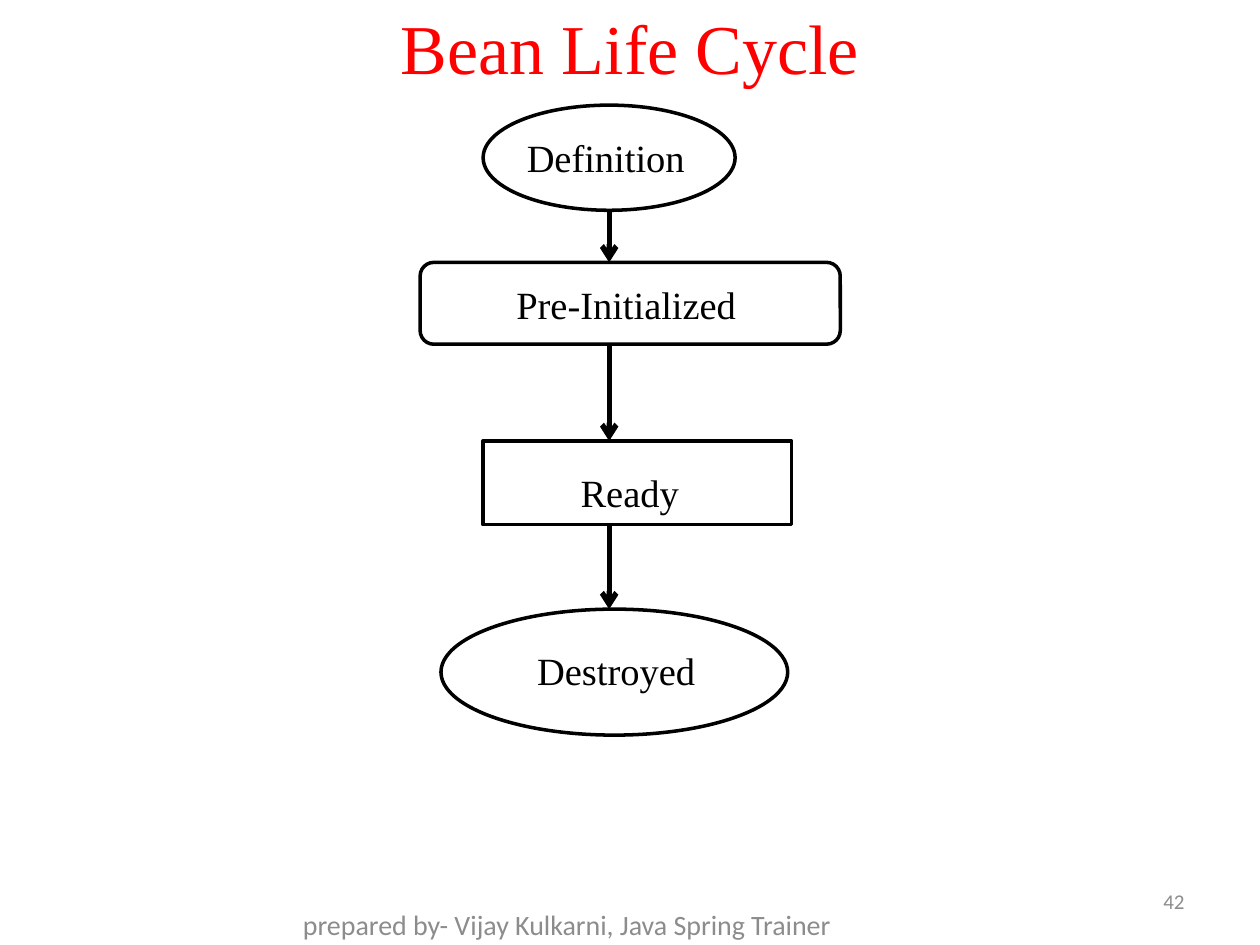
from itertools import pairwise
from lxml.etree import SubElement
from pptx import Presentation
from pptx.dml.color import RGBColor
from pptx.enum.shapes import MSO_CONNECTOR, MSO_SHAPE
from pptx.enum.text import MSO_ANCHOR, PP_ALIGN
from pptx.oxml.ns import qn
from pptx.util import Cm, Pt

SERIF, SANS = "Times New Roman", "Calibri"
BLACK, RED, GREY = "000000", "FF0000", "8C8C8C"
LEFT, MID, RIGHT = PP_ALIGN.LEFT, PP_ALIGN.CENTER, PP_ALIGN.RIGHT
TOP, HALF = MSO_ANCHOR.TOP, MSO_ANCHOR.MIDDLE
AXIS = 12.28

STEPS = [
    (MSO_SHAPE.OVAL, (9.74, 2.12, 5.08, 2.12)),
    (MSO_SHAPE.ROUNDED_RECTANGLE, (8.47, 5.29, 8.47, 1.65)),
    (MSO_SHAPE.RECTANGLE, (9.74, 8.89, 6.22, 1.69)),
    (MSO_SHAPE.OVAL, (8.89, 12.28, 6.99, 2.54)),
]
LABELS = [
    ("Definition", (10.37, 2.57, 4.23, 1.18), LEFT),
    ("Pre-Initialized", (10.16, 5.54, 5.23, 1.18), LEFT),
    ("Ready", (10.58, 9.32, 4.23, 1.18), MID),
    ("Destroyed", (10.58, 12.91, 4.23, 1.18), LEFT),
]
NOTES = [
    ("Bean Life Cycle", (0, 0.2, 25.4, 1.48), MID, 40, SERIF, RED),
    ("42", (18.2, 17.65, 5.93, 1.02), RIGHT, 12, SANS, GREY),
    ("prepared by- Vijay Kulkarni, Java Spring Trainer",
     (3.81, 18.2, 15.24, 0.85), MID, 16, SANS, GREY),
]


def color(code):
    return RGBColor.from_string(code)


def place(box):
    return [Cm(n) for n in box]


def pen(line, width):
    line.color.rgb = color(BLACK)
    line.width = Pt(width)


def write(slide, text, box, align, size, font, code, anchor):
    frame = slide.shapes.add_textbox(*place(box)).text_frame
    frame.word_wrap = True
    frame.vertical_anchor = anchor
    para = frame.paragraphs[0]
    para.text = text
    para.alignment = align
    para.font.size = Pt(size)
    para.font.name = font
    para.font.color.rgb = color(code)


def draw(slide, kind, box):
    shape = slide.shapes.add_shape(kind, *place(box))
    shape.shadow.inherit = False
    shape.fill.background()
    pen(shape.line, 2)


def arrow(slide, start, end):
    link = slide.shapes.add_connector(
        MSO_CONNECTOR.STRAIGHT, *place((AXIS, start, AXIS, end)))
    pen(link.line, 3)
    SubElement(link.line._get_or_add_ln(), qn("a:tailEnd"), type="arrow")
    SubElement(link._element.spPr, qn("a:effectLst"))


def main():
    deck = Presentation()
    deck.slide_width, deck.slide_height = Cm(25.4), Cm(19.05)
    slide = deck.slides.add_slide(deck.slide_layouts[6])
    for kind, box in STEPS:
        draw(slide, kind, box)
    for (_, above), (_, below) in pairwise(STEPS):
        arrow(slide, above[1] + above[3], below[1])
    for text, box, align in LABELS:
        write(slide, text, box, align, 22, SERIF, BLACK, TOP)
    for note in NOTES:
        write(slide, *note, HALF)
    deck.save("out.pptx")


if __name__ == "__main__":
    main()
